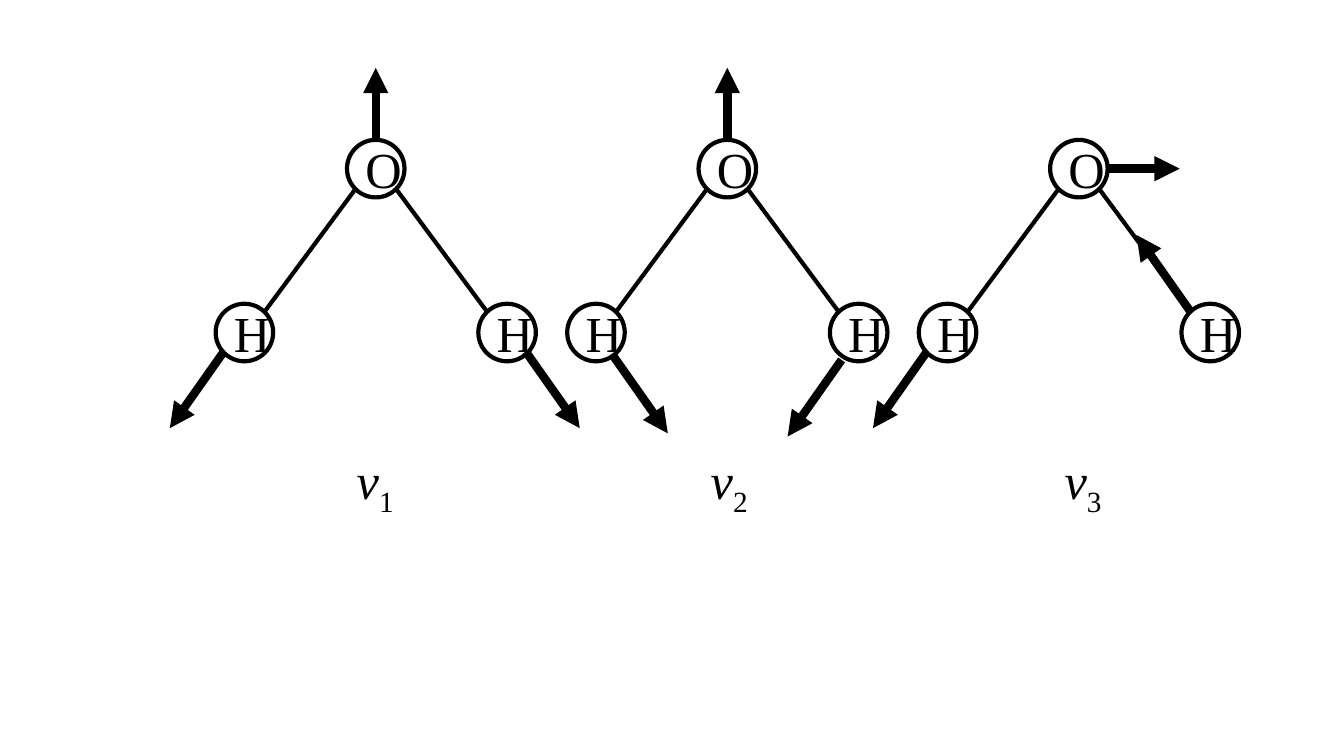
"""Draw the three vibration modes of the water molecule."""
import dataclasses

import pptx
import pptx.dml.color
import pptx.enum.shapes
import pptx.enum.text
import pptx.oxml.ns
import pptx.util
from lxml import etree

Cm = pptx.util.Cm
Pt = pptx.util.Pt


@dataclasses.dataclass(frozen=True)
class Theme:
    ink: pptx.dml.color.RGBColor = pptx.dml.color.RGBColor(0, 0, 0)
    font: str = "Times New Roman"
    size: float = 36
    thin: float = 3
    thick: float = 6


THEME = Theme()
FIRST_O, O_Y, MODE_STEP = 9.47, 4.25, 8.86
FIRST_LABEL, LABEL_Y, LABEL_STEP = 8.74, 11.2, 8.92
ATOM = 1.45
ATOMS = [("O", 0, 0), ("H", -3.31, 4.13), ("H", 3.31, 4.13)]
BONDS = [((side * 0.51, 0.51), (side * 2.29, 3.09)) for side in (1, -1)]
DX, DY, UP = 1.36, 1.93, 1.82
MODES = [
    [((0, -0.72), (0, -UP)), ((-3.83, 4.61), (-DX, DY)), ((3.78, 4.61), (DX, DY))],
    [((0, -0.72), (0, -UP)), ((-2.86, 4.74), (DX, DY)), ((2.88, 4.82), (-DX, DY))],
    [((0.72, 0), (UP, 0)), ((-3.83, 4.61), (-DX, DY)), ((2.81, 3.6), (-DX, -DY))],
]


def style_run(r, italic=False):
    r.font.name = THEME.font
    r.font.size = Pt(THEME.size)
    r.font.color.rgb = THEME.ink
    r.font.italic = italic


def add_atom(shapes, symbol, x, y):
    sp = shapes.add_shape(pptx.enum.shapes.MSO_SHAPE.OVAL,
                          Cm(x - ATOM / 2), Cm(y - ATOM / 2), Cm(ATOM), Cm(ATOM))
    sp.shadow.inherit = False
    sp.fill.background()
    sp.line.color.rgb = THEME.ink
    sp.line.width = Pt(THEME.thin)
    tf = sp.text_frame
    tf.text = symbol
    tf.vertical_anchor = pptx.enum.text.MSO_ANCHOR.MIDDLE
    p = tf.paragraphs[0]
    p.alignment = pptx.enum.text.PP_ALIGN.CENTER
    style_run(p.runs[0])


def add_line(shapes, x, y, dx, dy, width, arrow=False):
    c = shapes.add_connector(pptx.enum.shapes.MSO_CONNECTOR.STRAIGHT,
                             Cm(x), Cm(y), Cm(x + dx), Cm(y + dy))
    c.line.color.rgb = THEME.ink
    c.line.width = Pt(width)
    qn = pptx.oxml.ns.qn
    sp_pr = c._element.spPr
    if arrow:
        etree.SubElement(sp_pr.find(qn("a:ln")), qn("a:tailEnd"), type="triangle")
    etree.SubElement(sp_pr, qn("a:effectLst"))


def add_molecule(s, x, y, arrows):
    shapes = s.shapes.add_group_shape().shapes
    for symbol, dx, dy in ATOMS:
        add_atom(shapes, symbol, x + dx, y + dy)
    for start, delta in BONDS:
        add_line(shapes, x + start[0], y + start[1], *delta, THEME.thin)
    for start, delta in arrows:
        add_line(shapes, x + start[0], y + start[1], *delta, THEME.thick, arrow=True)


def add_label(s, number, x):
    sp = s.shapes.add_textbox(Cm(x), Cm(LABEL_Y), Cm(1.5), Cm(1.8))
    tf = sp.text_frame
    tf.word_wrap = False
    tf.auto_size = pptx.enum.text.MSO_AUTO_SIZE.SHAPE_TO_FIT_TEXT
    p = tf.paragraphs[0]
    for text, italic in (("ν", True), (str(number), False)):
        r = p.add_run()
        r.text = text
        style_run(r, italic)
    p.runs[1].font._element.set("baseline", "-25000")


def main():
    prs = pptx.Presentation()
    prs.slide_width, prs.slide_height = Cm(33.87), Cm(19.05)
    s = prs.slides.add_slide(prs.slide_layouts[6])
    for i, arrows in enumerate(MODES):
        add_molecule(s, FIRST_O + i * MODE_STEP, O_Y, arrows)
    for i in range(len(MODES)):
        add_label(s, i + 1, FIRST_LABEL + i * LABEL_STEP)
    prs.save("out.pptx")


main()
